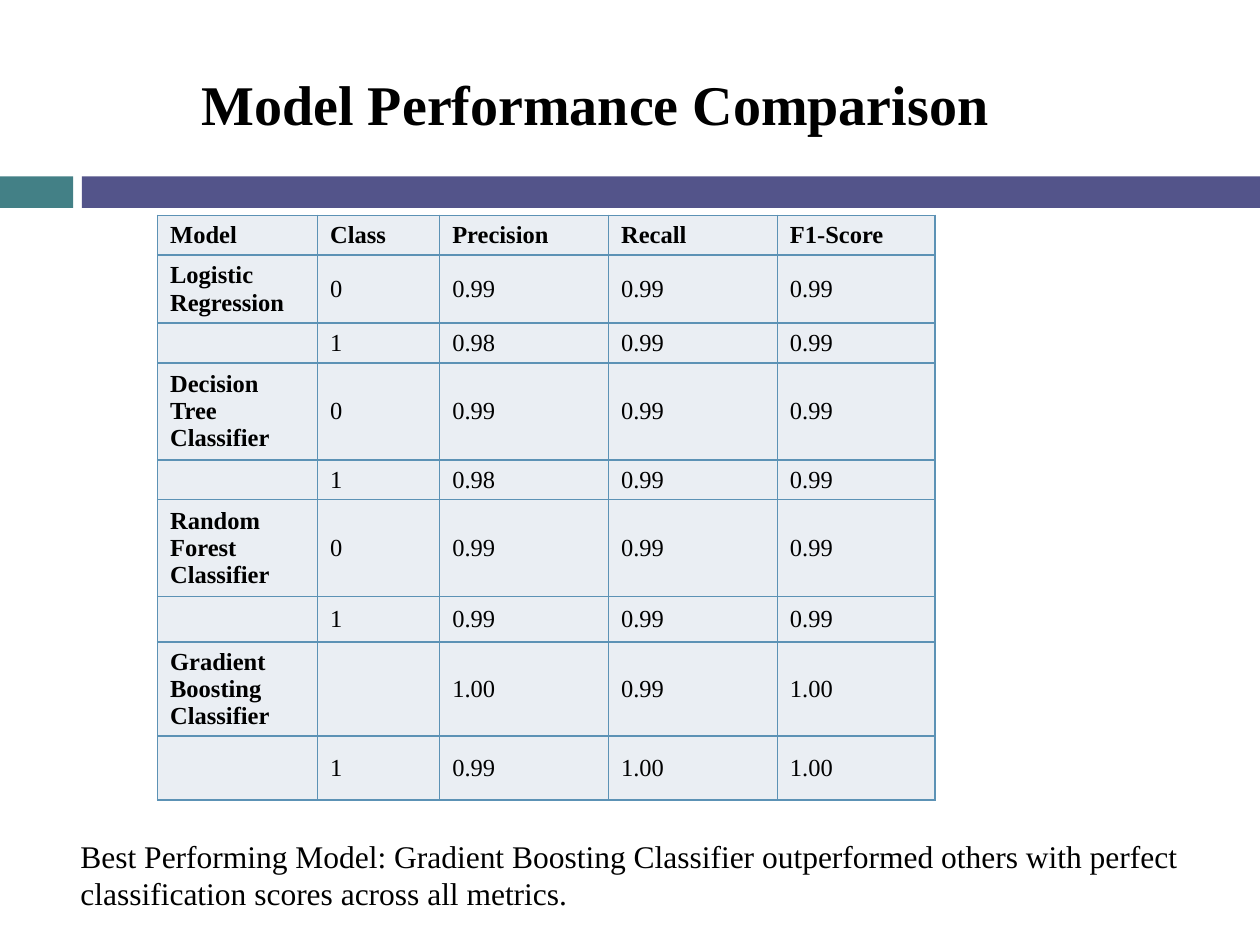
import pptx
import pptx.dml.color
import pptx.enum.shapes
import pptx.enum.text
import pptx.oxml.ns
import pptx.util
from lxml import etree

Inches = pptx.util.Inches
Pt = pptx.util.Pt
RGBColor = pptx.dml.color.RGBColor
qn = pptx.oxml.ns.qn

TEAL = RGBColor(0x43, 0x80, 0x86)
INDIGO = RGBColor(0x53, 0x54, 0x8A)
CELL_FILL = RGBColor(0xEA, 0xEE, 0xF3)
BORDER = RGBColor(0x5C, 0x92, 0xB5)
BLACK = RGBColor(0, 0, 0)
FONT = "Times New Roman"

COL_WIDTHS = [1.27, 0.97, 1.34, 1.34, 1.25]
ROW_HEIGHTS = [0.31, 0.54, 0.31, 0.77, 0.31, 0.77, 0.36, 0.72, 0.51]
SCORES = [
    ["Model", "Class", "Precision", "Recall", "F1-Score"],
    ["Logistic Regression", "0", "0.99", "0.99", "0.99"],
    ["", "1", "0.98", "0.99", "0.99"],
    ["Decision Tree Classifier", "0", "0.99", "0.99", "0.99"],
    ["", "1", "0.98", "0.99", "0.99"],
    ["Random Forest Classifier", "0", "0.99", "0.99", "0.99"],
    ["", "1", "0.99", "0.99", "0.99"],
    ["Gradient Boosting Classifier", "", "1.00", "0.99", "1.00"],
    ["", "1", "0.99", "1.00", "1.00"],
]


def set_text(tf, text, size, bold=False):
    tf.word_wrap = True
    p = tf.paragraphs[0]
    p.alignment = pptx.enum.text.PP_ALIGN.LEFT
    p.font.name = FONT
    p.font.size = Pt(size)
    p.font.bold = bold
    p.font.color.rgb = BLACK
    if text:
        p.text = text
    else:
        # An empty cell keeps the row low only with a sized paragraph end
        etree.SubElement(p._p, qn("a:endParaRPr"), sz=str(size * 100))


def add_bar(slide, left, width, color):
    sp = slide.shapes.add_shape(
        pptx.enum.shapes.MSO_SHAPE.RECTANGLE,
        Inches(left), Inches(1.4), Inches(width), Inches(0.25))
    sp.shadow.inherit = False
    sp.fill.solid()
    sp.fill.fore_color.rgb = color
    sp.line.fill.background()


def set_title(slide, text):
    sp = slide.shapes.title
    sp.left, sp.top = Inches(1.5), Inches(0.5)
    sp.width, sp.height = Inches(6.58), Inches(0.64)
    set_text(sp.text_frame, text, 32, bold=True)
    sp.text_frame.vertical_anchor = pptx.enum.text.MSO_ANCHOR.TOP


def add_note(slide, text):
    sp = slide.shapes.add_textbox(
        Inches(0.54), Inches(6.59), Inches(8.92), Inches(0.71))
    set_text(sp.text_frame, text, 18)


def set_borders(cell):
    tc_pr = cell._tc.get_or_add_tcPr()
    for i, side in enumerate(("a:lnL", "a:lnR", "a:lnT", "a:lnB")):
        ln = etree.Element(qn(side), w=str(Pt(1)))
        fill = etree.SubElement(ln, qn("a:solidFill"))
        etree.SubElement(fill, qn("a:srgbClr"), val=str(BORDER))
        tc_pr.insert(i, ln)


def add_score_table(slide):
    table = slide.shapes.add_table(
        len(SCORES), len(COL_WIDTHS), Inches(1.25), Inches(1.71),
        Inches(sum(COL_WIDTHS)), Inches(sum(ROW_HEIGHTS))).table
    table.horz_banding = False
    for column, width in zip(table.columns, COL_WIDTHS):
        column.width = Inches(width)
    for r, (values, height) in enumerate(zip(SCORES, ROW_HEIGHTS)):
        table.rows[r].height = Inches(height)
        for c, value in enumerate(values):
            cell = table.cell(r, c)
            cell.fill.solid()
            cell.fill.fore_color.rgb = CELL_FILL
            cell.vertical_anchor = pptx.enum.text.MSO_ANCHOR.MIDDLE
            set_text(cell.text_frame, value, 14, bold=r == 0 or c == 0)
            set_borders(cell)


def main():
    prs = pptx.Presentation()
    prs.slide_width, prs.slide_height = Inches(10), Inches(7.5)
    slide = prs.slides.add_slide(prs.slide_layouts[5])  # Title Only

    # Divider bars
    add_bar(slide, 0, 0.58, TEAL)
    add_bar(slide, 0.65, 9.35, INDIGO)

    # Scores, conclusion and title
    add_score_table(slide)
    add_note(slide, "Best Performing Model: Gradient Boosting Classifier "
                    "outperformed others with perfect classification scores "
                    "across all metrics.")
    set_title(slide, "Model Performance Comparison")
    prs.save("out.pptx")


if __name__ == "__main__":
    main()
